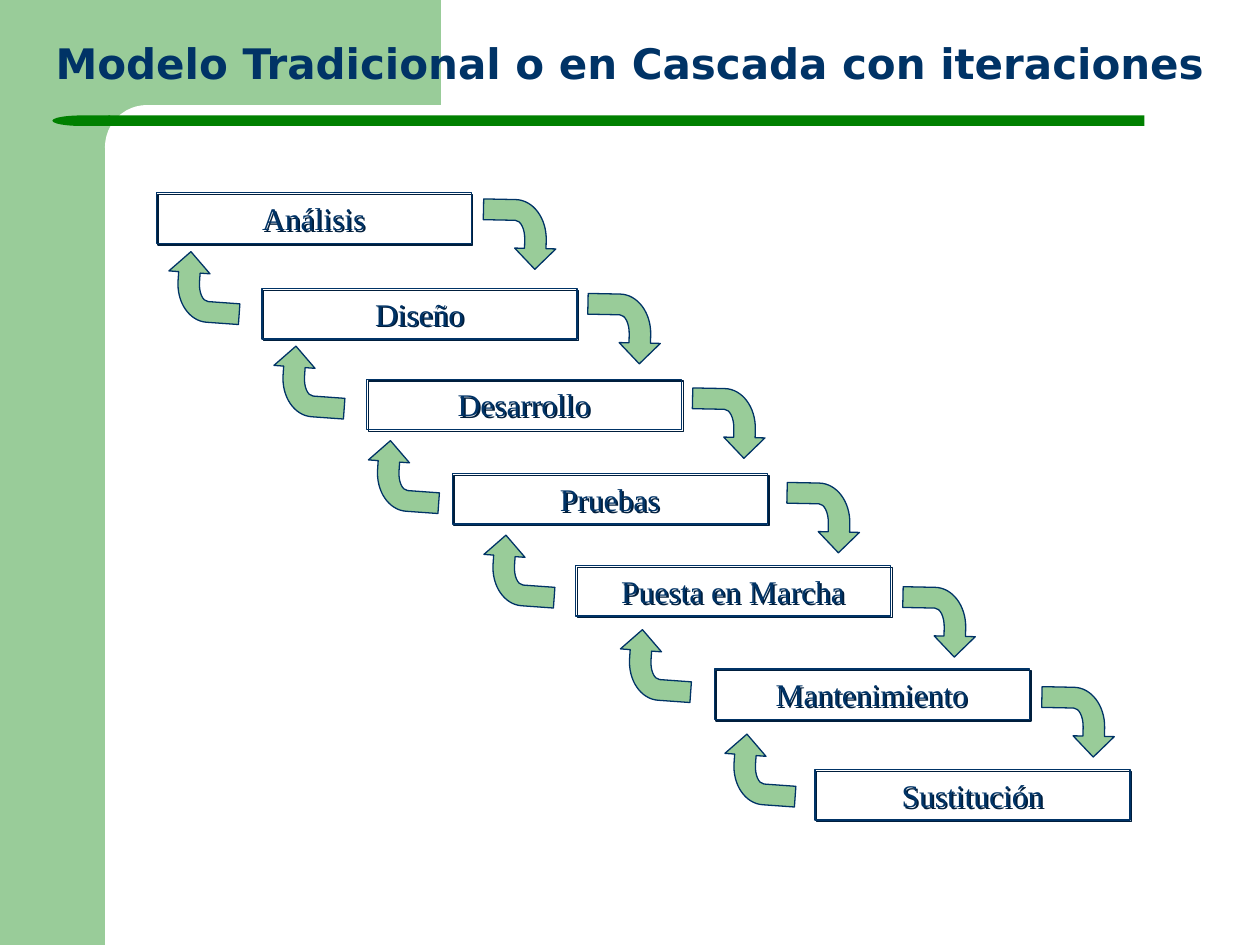
import dataclasses

import pptx
import pptx.dml.color
import pptx.enum.shapes
import pptx.enum.text
import pptx.oxml
import pptx.oxml.ns
import pptx.util

Pt = pptx.util.Pt
RGB = pptx.dml.color.RGBColor.from_string
SHAPE = pptx.enum.shapes.MSO_SHAPE


@dataclasses.dataclass(frozen=True)
class Theme:
    green: str = "99CC99"
    rule: str = "008000"
    navy: str = "003366"
    shadow: str = "001E3C"
    white: str = "FFFFFF"
    title_font: str = "DejaVu Sans"
    phase_font: str = "Times New Roman"
    title_size: float = 24
    phase_size: float = 18
    line_width: float = 0.75


THEME = Theme()

# Each phase: name, box, arrow down to the next phase, arrow back up from it
PHASES = [
    ("Análisis", (89.3, 110.2), (277.1, 113), (97, 143.3)),
    ("Diseño", (149.8, 164.9), (336.8, 167), (157, 197.3)),
    ("Desarrollo", (209.5, 216.7), (396.6, 221), (211, 251.3)),
    ("Pruebas", (258.5, 270.7), (450.6, 275), (277, 305.3)),
    ("Puesta en Marcha", (329, 323.3), (516.8, 334.6), (355, 359.3)),
    ("Mantenimiento", (408.2, 382.3), (596.2, 391.7), (414.7, 419)),
    ("Sustitución", (465.8, 439.9), None, None),
]
BOX_SIZE = (180, 28.8)
ARROW_SIZE = (39.6, 41.8)
DOWN_ANGLE, UP_ANGLE = 91.2, 274.1

# Bent arrow on a square grid; the two bends are curves, keyed by vertex index
GRID = 21600
ARROW_POINTS = [
    (21600, 6079), (15126, 0), (15126, 2912), (12427, 2912), (0, 12158),
    (0, 21600), (6474, 21600), (6474, 12158), (12427, 9246),
    (15126, 9246), (15126, 12158),
]
BENDS = {4: [(5564, 2912), (0, 7052)], 8: [(6474, 10550), (9139, 9246)]}


def set_values(target, values):
    for name, value in values.items():
        setattr(target, name, value)


def paint(shape, fill=None, line=None):
    if fill:
        shape.fill.solid()
        shape.fill.fore_color.rgb = RGB(fill)
    else:
        shape.fill.background()
    if line:
        shape.line.color.rgb = RGB(line)
        shape.line.width = Pt(THEME.line_width)
    else:
        shape.line.fill.background()
    shape.shadow.inherit = False


def add_block(page, kind, frame, fill=None, line=None, corner=None):
    shape = page.shapes.add_shape(kind, *map(Pt, frame))
    if corner is not None:
        shape.adjustments[0] = corner
    paint(shape, fill, line)
    return shape


def write(box, text, space_before, font):
    """Fill a box with one centred paragraph."""
    frame = box.text_frame
    set_values(frame, {
        "word_wrap": True,
        "auto_size": pptx.enum.text.MSO_AUTO_SIZE.SHAPE_TO_FIT_TEXT,
        "vertical_anchor": pptx.enum.text.MSO_ANCHOR.TOP,
    })
    para = frame.paragraphs[0]
    set_values(para, {
        "alignment": pptx.enum.text.PP_ALIGN.CENTER,
        "space_before": Pt(space_before),
    })
    span = para.add_run()
    span.text = text
    set_values(span.font, font)
    span.font.color.rgb = RGB(THEME.navy)


def add_shadow(shape):
    effects = shape._element.spPr.find(pptx.oxml.ns.qn("a:effectLst"))
    effects.append(pptx.oxml.parse_xml(
        f'<a:outerShdw {pptx.oxml.ns.nsdecls("a")} dist="{Pt(1.4)}" '
        f'dir="2700000" algn="ctr" rotWithShape="0">'
        f'<a:srgbClr val="{THEME.shadow}"/></a:outerShdw>'))


def add_phase(page, name, corner):
    box = add_block(page, SHAPE.RECTANGLE, corner + BOX_SIZE, line=THEME.navy)
    add_shadow(box)
    write(box, name, 11.2,
          {"name": THEME.phase_font, "size": Pt(THEME.phase_size), "bold": False})


def add_bent_arrow(page, corner, angle):
    scale = tuple(Pt(length) / GRID for length in ARROW_SIZE)
    builder = page.shapes.build_freeform(*ARROW_POINTS[0], scale=scale)
    builder.add_line_segments(ARROW_POINTS[1:], close=True)
    arrow = builder.convert_to_shape(*map(Pt, corner))
    steps = list(arrow._element.iter(pptx.oxml.ns.qn("a:path")))[0]
    for index, controls in BENDS.items():
        points = "".join(f'<a:pt x="{x}" y="{y}"/>'
                         for x, y in controls + [ARROW_POINTS[index]])
        steps[index] = pptx.oxml.parse_xml(
            f'<a:cubicBezTo {pptx.oxml.ns.nsdecls("a")}>{points}</a:cubicBezTo>')
    arrow.rotation = angle
    paint(arrow, THEME.green, THEME.navy)


def add_backdrop(page):
    add_block(page, SHAPE.RECTANGLE, (0, 0, 60, 540), THEME.green)
    add_block(page, SHAPE.RECTANGLE, (54, 0, 198, 84), THEME.green)
    add_block(page, SHAPE.ROUNDED_RECTANGLE, (60, 60, 402, 48), THEME.white, corner=0.5)
    add_block(page, SHAPE.ROUNDED_RECTANGLE, (62, 66, 592, 6), THEME.rule, corner=0)
    tip = add_block(page, SHAPE.FLOWCHART_DELAY, (30, 66, 33, 6), THEME.rule)
    tip._element.spPr.xfrm.set("flipH", "1")


def main():
    deck = pptx.Presentation()
    set_values(deck, {"slide_width": Pt(720), "slide_height": Pt(540)})
    page = deck.slides.add_slide(deck.slide_layouts[6])
    add_backdrop(page)
    title = page.shapes.add_textbox(*map(Pt, (18, 18, 684, 36)))
    write(title, "Modelo Tradicional o en Cascada con iteraciones", 15,
          {"name": THEME.title_font, "size": Pt(THEME.title_size), "bold": True})
    for name, box_corner, down_corner, up_corner in PHASES:
        add_phase(page, name, box_corner)
        if down_corner:
            add_bent_arrow(page, down_corner, DOWN_ANGLE)
            add_bent_arrow(page, up_corner, UP_ANGLE)
    deck.save("out.pptx")


if __name__ == "__main__":
    main()
